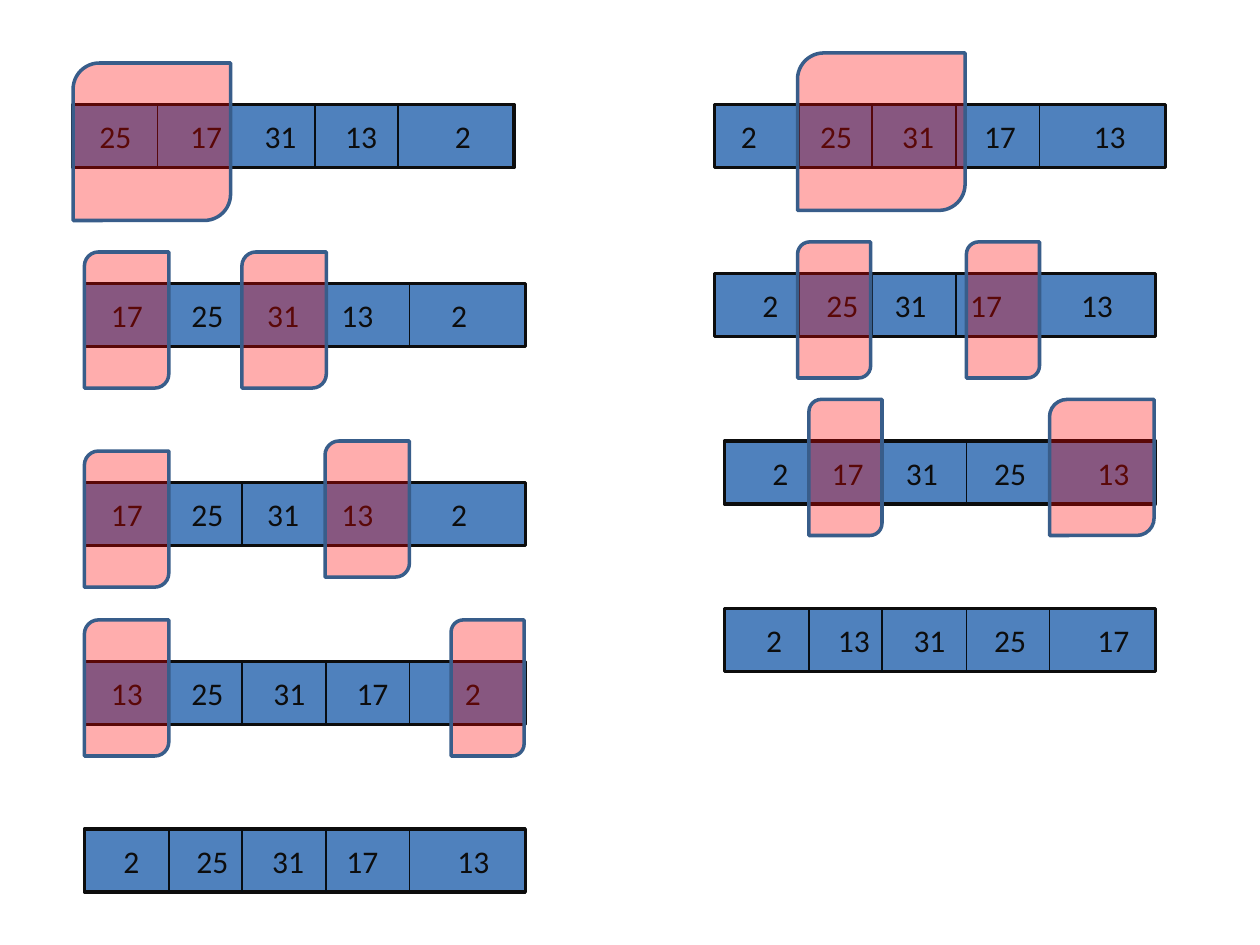
from lxml import etree
from pptx import Presentation
from pptx.dml.color import RGBColor
from pptx.enum import shapes, text
from pptx.oxml.ns import qn
from pptx.util import Inches, Pt

CUTS = (0.67, 1.25, 1.92, 2.58)  # dividers, from the left end of a bar
HIGH = 0.5

# Each array: left, top, width, numbers, left edge of each number,
# and the compared cells as (left, top, width, height)
ROWS = [
    (0.58, 0.83, 3.5, "25 17 31 13 2", (0.79, 1.51, 2.1, 2.74, 3.61),
     [(0.58, 0.5, 1.25, 1.25)]),
    (0.67, 2.25, 3.5, "17 25 31 13 2", (0.88, 1.52, 2.12, 2.71, 3.58),
     [(0.67, 2, 0.67, 1.08), (1.92, 2, 0.67, 1.08)]),
    (0.67, 3.83, 3.5, "17 25 31 13 2", (0.88, 1.52, 2.12, 2.71, 3.58),
     [(0.67, 3.58, 0.67, 1.08), (2.58, 3.5, 0.67, 1.08)]),
    (0.67, 5.25, 3.5, "13 25 31 17 2", (0.88, 1.52, 2.17, 2.83, 3.69),
     [(0.67, 4.92, 0.67, 1.08), (3.58, 4.92, 0.58, 1.08)]),
    (0.67, 6.58, 3.5, "2 25 31 17 13", (0.98, 1.56, 2.16, 2.75, 3.63), []),
    (5.67, 0.83, 3.58, "2 25 31 17 13", (5.88, 6.51, 7.16, 7.81, 8.68),
     [(6.33, 0.42, 1.33, 1.25)]),
    (5.67, 2.17, 3.5, "2 25 31 17 13", (6.05, 6.56, 7.1, 7.7, 8.58),
     [(6.33, 1.92, 0.58, 1.08), (7.67, 1.92, 0.58, 1.08)]),
    (5.75, 3.5, 3.42, "2 17 31 25 13", (6.13, 6.6, 7.19, 7.89, 8.71),
     [(6.42, 3.17, 0.58, 1.08), (8.33, 3.17, 0.83, 1.08)]),
    (5.75, 4.83, 3.42, "2 13 31 25 17", (6.08, 6.65, 7.25, 7.89, 8.71), []),
]


def paint(fmt, color):
    """Give a fill or a font a solid colour."""
    if hasattr(fmt, "solid"):
        fmt.solid()
        fmt.fore_color.rgb = RGBColor.from_string(color)
    else:
        fmt.color.rgb = RGBColor.from_string(color)


def add_block(slide, kind, box, fill, edge):
    block = slide.shapes.add_shape(kind, *map(Inches, box))
    block.shadow.inherit = False
    paint(block.fill, fill)
    paint(block.line.fill, edge)
    block.line.width = Pt(2)
    return block


def add_bar(slide, left, top, width, nums, spots):
    bar = add_block(slide, shapes.MSO_SHAPE.RECTANGLE,
                    (left, top, width, HIGH), "4F81BD", "0D0D0D")
    # The margin places the first number, tab stops place the others
    frame = bar.text_frame
    frame.margin_left = Inches(spots[0] - left)
    frame.margin_right = 0
    frame.vertical_anchor = text.MSO_ANCHOR.MIDDLE
    para = frame.paragraphs[0]
    para.text = "\t".join(nums.split())
    para.alignment = text.PP_ALIGN.LEFT
    tabs = etree.SubElement(para._p.get_or_add_pPr(), qn("a:tabLst"))
    for spot in spots[1:]:
        etree.SubElement(tabs, qn("a:tab"),
                         pos=str(Inches(spot - spots[0])), algn="l")
    para.font.name = "Calibri"
    para.font.size = Pt(18)
    paint(para.font, "0D0D0D")


def add_cut(slide, x, top):
    cut = slide.shapes.add_connector(
        shapes.MSO_CONNECTOR.STRAIGHT,
        Inches(x), Inches(top), Inches(x), Inches(top + HIGH))
    paint(cut.line.fill, "070D13")
    cut.line.width = Pt(1)
    etree.SubElement(cut._element.spPr, qn("a:effectLst"))


def add_mark(slide, box):
    mark = add_block(slide, shapes.MSO_SHAPE.ROUND_2_DIAG_RECTANGLE,
                     box, "FF0000", "385D8A")
    color = mark._element.spPr.find(qn("a:solidFill"))[0]
    etree.SubElement(color, qn("a:alpha"), val="32000")


def main():
    deck = Presentation()
    deck.slide_width, deck.slide_height = Inches(10), Inches(7.5)
    slide = deck.slides.add_slide(deck.slide_layouts[6])

    for left, top, width, nums, spots, marks in ROWS:
        # Array with its dividers
        add_bar(slide, left, top, width, nums, spots)
        for cut in CUTS:
            add_cut(slide, left + cut, top)
        # Cells being swapped
        for box in marks:
            add_mark(slide, box)

    deck.save("out.pptx")


if __name__ == "__main__":
    main()
